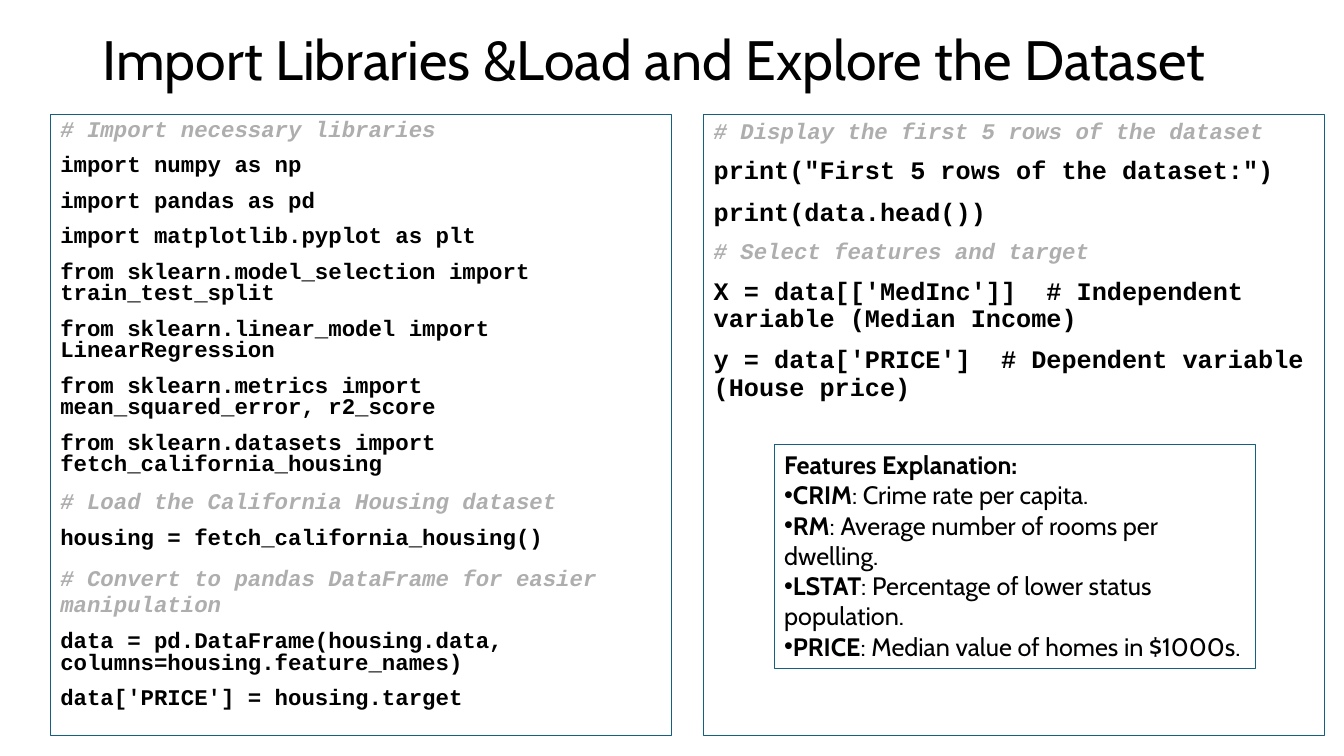
from pptx import Presentation
from pptx.dml.color import RGBColor
from pptx.enum.shapes import MSO_SHAPE as Shape
from pptx.enum.text import MSO_ANCHOR as Anchor, PP_ALIGN as Align
from pptx.util import Inches, Pt
from lxml.etree import SubElement
from pptx.oxml.ns import qn


def style(run, face, size, hue="000000", bold=False, slant=False):
    font = run.font
    font.name, font.size = face, Pt(size)
    font.bold, font.italic = bold, slant
    font.color.rgb = RGBColor.from_string(hue)


def panel(left, top, width, height):
    box = slide.shapes.add_shape(
        Shape.RECTANGLE, Inches(left), Inches(top), Inches(width), Inches(height))
    box.shadow.inherit = False
    box.fill.background()
    box.line.color.rgb = RGBColor.from_string("156082")
    box.line.width = Pt(0.75)
    frame = box.text_frame
    frame.word_wrap = True
    frame.vertical_anchor = Anchor.TOP
    return frame


deck = Presentation()
deck.slide_width, deck.slide_height = Inches(13.33), Inches(7.5)
slide = deck.slides.add_slide(deck.slide_layouts[6])

title = slide.shapes.add_textbox(
    Inches(0.92), Inches(0.4), Inches(11.5), Inches(0.44)).text_frame
title.word_wrap = True
title.vertical_anchor = Anchor.MIDDLE
title.text = "Import Libraries &Load and Explore the Dataset"
title.paragraphs[0].line_spacing = 0.9
style(title.paragraphs[0].runs[0], "Cabin", 39.6)

load = [
    ("# Import necessary libraries", 0.8),
    ("import numpy as np", 0.8),
    ("import pandas as pd", 0.8),
    ("import matplotlib.pyplot as plt", 0.8),
    ("from sklearn.model_selection import train_test_split", 0.8),
    ("from sklearn.linear_model import LinearRegression", 0.8),
    ("from sklearn.metrics import mean_squared_error, r2_score", 0.8),
    ("from sklearn.datasets import fetch_california_housing", 0.8),
    ("# Load the California Housing dataset", 0.9),
    ("housing = fetch_california_housing()", 0.8),
    ("# Convert to pandas DataFrame for easier manipulation", 1.0),
    ("data = pd.DataFrame(housing.data, columns=housing.feature_names)", 0.8),
    ("data['PRICE'] = housing.target", 0.8),
]
explore = [
    ("# Display the first 5 rows of the dataset", 0.9),
    ('print("First 5 rows of the dataset:")', 0.9),
    ("print(data.head())", 0.9),
    ("# Select features and target", 0.9),
    ("X = data[['MedInc']]  # Independent variable (Median Income)", 0.9),
    ("y = data['PRICE']  # Dependent variable (House price)", 0.9),
]
for left, size, code in [(0.5, 16, load), (6.98, 18, explore)]:
    frame = panel(left, 1.14, 6.16, 6.16)
    frame.text = "\n".join(text for text, space in code)
    for row, (para, (text, space)) in enumerate(zip(frame.paragraphs, code)):
        para.alignment = Align.LEFT
        para.line_spacing = space
        if row:
            para.space_before = Pt(10)
        note = text.startswith("#")
        style(para.runs[0], "Courier New", 16 if note else size,
              "AEAEAE" if note else "000000", True, note)

terms = [
    ("CRIM", "Crime rate per capita."),
    ("RM", "Average number of rooms per dwelling."),
    ("LSTAT", "Percentage of lower status population."),
    ("PRICE", "Median value of homes in $1000s."),
]
frame = panel(7.68, 4.41, 4.77, 2.22)
frame.text = "Features Explanation:"
head = frame.paragraphs[0]
head.alignment = Align.LEFT
style(head.runs[0], "Cabin", 18, bold=True)
for term, gloss in terms:
    para = frame.add_paragraph()
    para.alignment = Align.LEFT
    props = para._p.get_or_add_pPr()
    SubElement(props, qn("a:buFont"), typeface="Arial")
    SubElement(props, qn("a:buChar"), char="•")
    for text, bold in [(term, True), (f": {gloss}", False)]:
        run = para.add_run()
        run.text = text
        style(run, "Cabin", 18, bold=bold)

deck.save("out.pptx")
